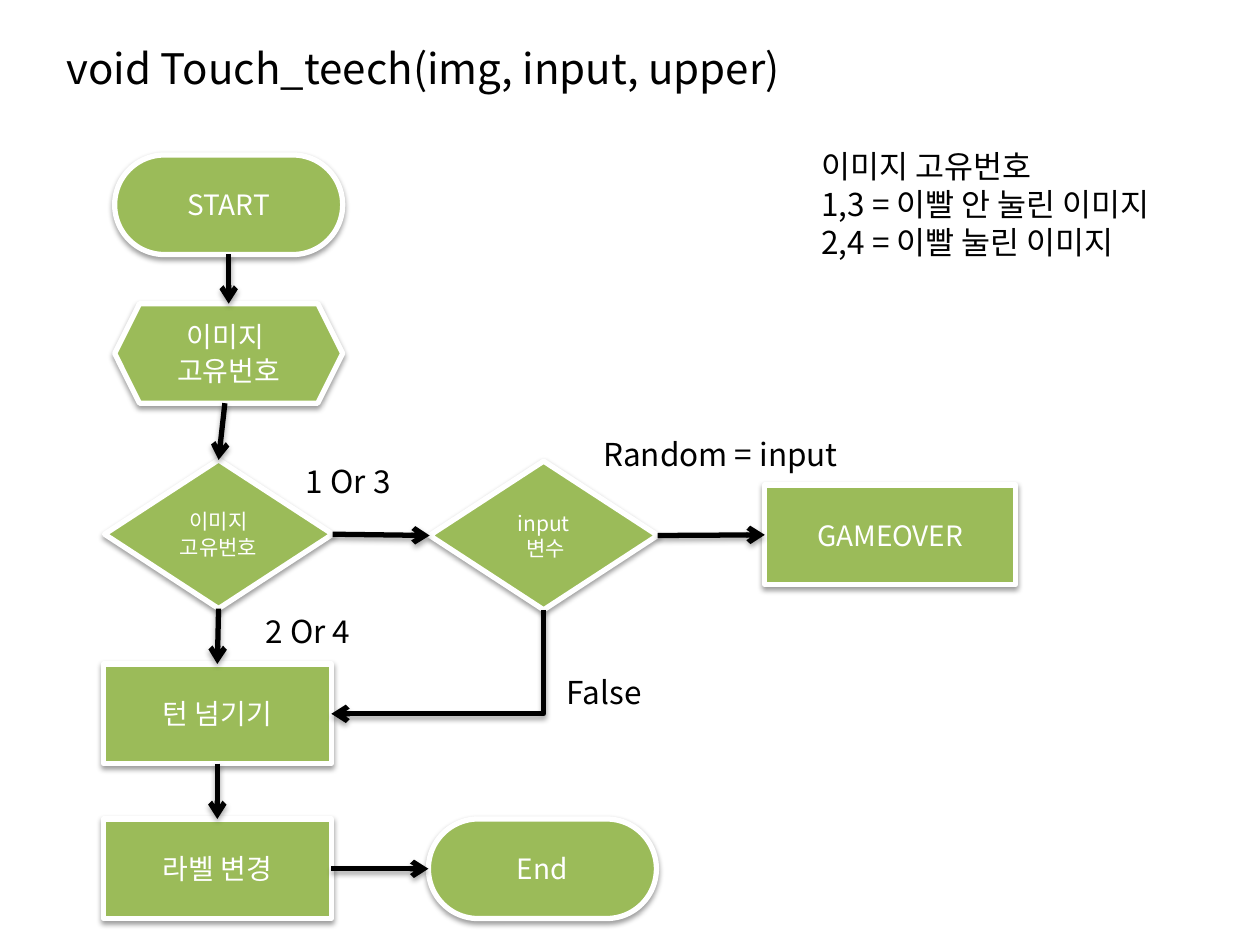
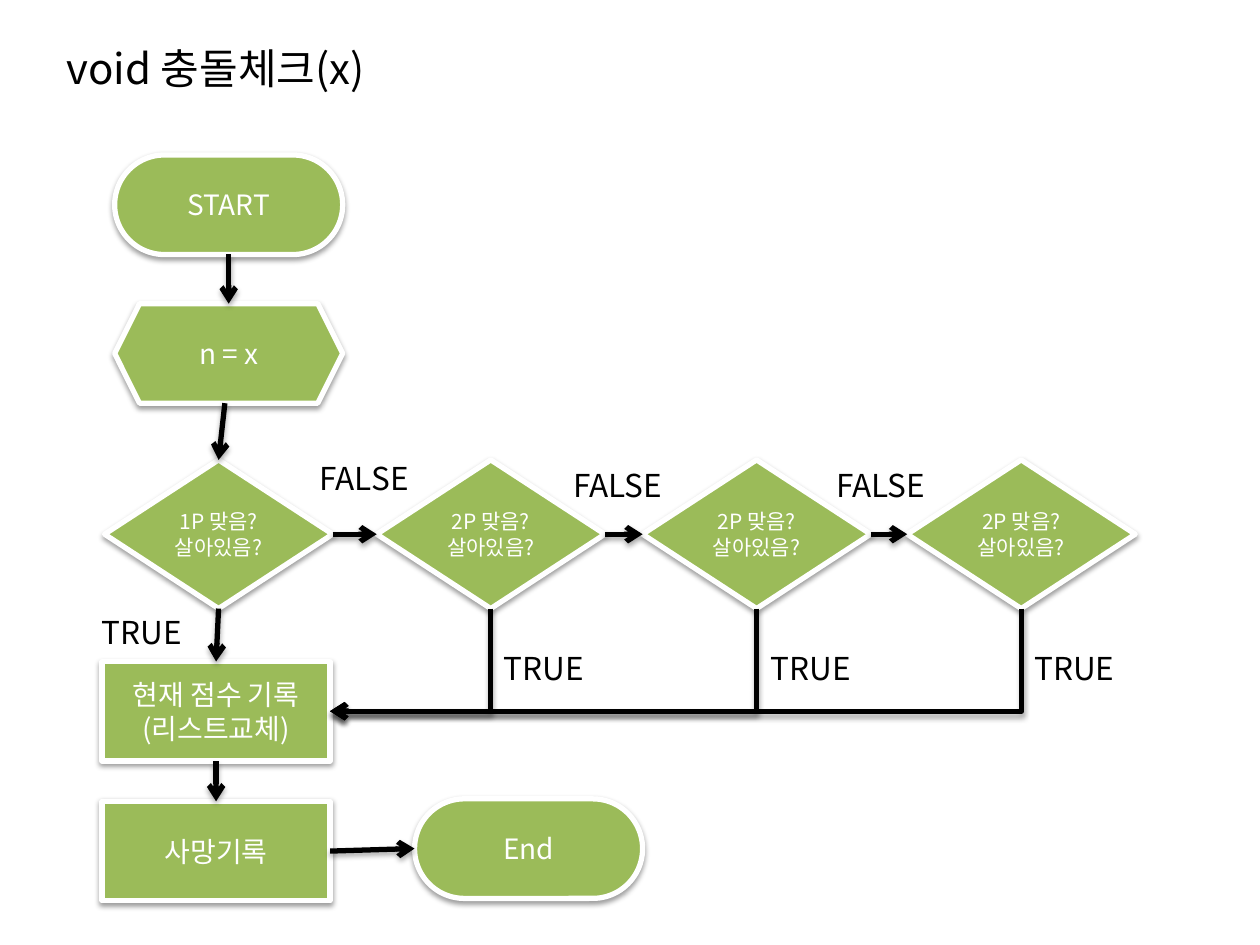
import lxml.etree
import pptx
import pptx.dml.color
import pptx.enum.shapes
import pptx.enum.text
import pptx.oxml.ns
import pptx.util

PX = 9144
COLORS = {"node": "9BBB59", "outline": "FFFFFF", "node_text": "FFFFFF", "ink": "000000"}
FONT = "Noto Sans CJK KR"
SHAPES = pptx.enum.shapes.MSO_SHAPE
CONNECTORS = pptx.enum.shapes.MSO_CONNECTOR
ALIGN = pptx.enum.text.PP_ALIGN
ANCHOR = pptx.enum.text.MSO_ANCHOR
AUTO_SIZE = pptx.enum.text.MSO_AUTO_SIZE

FRAMES = {
    "title": {"word_wrap": True, "vertical_anchor": ANCHOR.TOP, "auto_size": AUTO_SIZE.NONE},
    "label": {"word_wrap": True, "auto_size": AUTO_SIZE.SHAPE_TO_FIT_TEXT},
    "node": {"word_wrap": True, "vertical_anchor": ANCHOR.MIDDLE},
}
NODE_WIDTH, NODE_HEIGHT, DIAMOND_HEIGHT = 181, 79, 118
NODE_SHADOW, LINE_SHADOW = (20000, 38000), (23000, 35000)


def px(*lengths):
    return [pptx.util.Emu(length * PX) for length in lengths]


def rgb(name):
    return pptx.dml.color.RGBColor.from_string(COLORS[name])


def set_values(target, values):
    for name, value in values.items():
        setattr(target, name, value)


def add_xml(parent, tag, **attributes):
    child = lxml.etree.SubElement(parent, pptx.oxml.ns.qn(tag))
    for name, value in attributes.items():
        child.set(name, str(value))
    return child


def add_shadow(shape, distance, alpha):
    effects = add_xml(shape._element.spPr, "a:effectLst")
    shadow = add_xml(effects, "a:outerShdw", blurRad=40000, dist=distance, dir=5400000, rotWithShape=0)
    color = add_xml(shadow, "a:srgbClr", val=COLORS["ink"])
    add_xml(color, "a:alpha", val=alpha)


def write_text(shape, text, role, size, color, align=ALIGN.LEFT):
    frame = shape.text_frame
    set_values(frame, FRAMES[role])
    for index, line in enumerate(text.split("\n")):
        para = frame.paragraphs[0] if index == 0 else frame.add_paragraph()
        para.alignment = align
        span = para.add_run()
        span.text = line
        set_values(span.font, {"name": FONT, "size": pptx.util.Pt(size)})
        span.font.color.rgb = rgb(color)
        add_xml(span.font._element, "a:ea", typeface=FONT)


def add_page(deck, title):
    page = deck.slides.add_slide(deck.slide_layouts[5])
    left, top, width, height = px(43, 29, 819, 50)
    box = page.shapes.title
    set_values(box, {"left": left, "top": top, "width": width, "height": height})
    write_text(box, title, "title", 24, "ink")
    return page


def add_label(page, text, left, top, width=110, height=40):
    box = page.shapes.add_textbox(*px(left, top, width, height))
    write_text(box, text, "label", 18, "ink")


def add_node(page, kind, text, left, top, width=NODE_WIDTH, height=NODE_HEIGHT, size=16):
    node = page.shapes.add_shape(kind, *px(left, top, width, height))
    if kind == SHAPES.ROUNDED_RECTANGLE:
        node.adjustments[0] = 0.5
    node.fill.solid()
    node.fill.fore_color.rgb = rgb("node")
    node.line.color.rgb = rgb("outline")
    node.line.width = pptx.util.Pt(3)
    add_shadow(node, *NODE_SHADOW)
    write_text(node, text, "node", size, "node_text", ALIGN.CENTER)
    return node


def add_terminal(page, text, left, top):
    return add_node(page, SHAPES.ROUNDED_RECTANGLE, text, left, top)


def add_step(page, text, left, top, width=NODE_WIDTH):
    return add_node(page, SHAPES.RECTANGLE, text, left, top, width)


def add_decision(page, text, left, top=365):
    return add_node(page, SHAPES.DIAMOND, text, left, top, height=DIAMOND_HEIGHT, size=12)


def side_point(node, side):
    across, down = {"top": (0.5, 0), "bottom": (0.5, 1), "left": (0, 0.5), "right": (1, 0.5)}[side]
    return int(node.left + node.width * across), int(node.top + node.height * down)


def style_arrow(arrow):
    arrow.line.color.rgb = rgb("ink")
    arrow.line.width = pptx.util.Pt(3)
    add_xml(arrow.line._get_or_add_ln(), "a:tailEnd", type="arrow")
    add_shadow(arrow, *LINE_SHADOW)


def link_down(page, source, target, shift=0):
    x, y = side_point(source, "bottom")
    arrow = page.shapes.add_connector(CONNECTORS.STRAIGHT, x + shift * PX, y, *side_point(target, "top"))
    style_arrow(arrow)


def link_right(page, source, target):
    arrow = page.shapes.add_connector(
        CONNECTORS.STRAIGHT, *side_point(source, "right"), *side_point(target, "left"))
    style_arrow(arrow)


def link_back(page, source, target):
    start_x, start_y = side_point(source, "bottom")
    end_x, end_y = side_point(target, "right")
    drop, run = end_y - start_y, start_x - end_x
    left = (start_x + end_x - drop) // 2
    top = (start_y + end_y - run) // 2
    arrow = page.shapes.add_connector(CONNECTORS.ELBOW, left, top, left + drop, top + run)
    arrow.rotation = 90
    arrow._element.spPr.find(pptx.oxml.ns.qn("a:prstGeom")).set("prst", "bentConnector2")
    style_arrow(arrow)


def add_opening(page, setup_text, decision_text):
    start = add_terminal(page, "START", 91, 123)
    setup = add_node(page, SHAPES.HEXAGON, setup_text, 91, 241)
    decision = add_decision(page, decision_text, 83)
    link_down(page, start, setup)
    link_down(page, setup, decision, shift=-3)
    return decision


def build_touch_page(deck):
    page = add_page(deck, "void Touch_teech(img, input, upper)")
    image_check = add_opening(page, "이미지 \n고유번호", "이미지\n고유번호")
    input_check = add_decision(page, "input\n 변수", 341, 366)
    game_over = add_step(page, "GAMEOVER", 607, 385, 199)
    next_turn = add_step(page, "턴 넘기기", 82, 527)
    relabel = add_step(page, "라벨 변경", 82, 650)
    end = add_terminal(page, "End", 340, 650)

    for source, target in ((image_check, next_turn), (next_turn, relabel)):
        link_down(page, source, target)
    for source, target in ((image_check, input_check), (input_check, game_over), (relabel, end)):
        link_right(page, source, target)
    link_back(page, input_check, next_turn)

    add_label(page, "2 Or 4", 201, 481)
    add_label(page, "1 Or 3", 233, 362)
    add_label(page, "이미지 고유번호\n1,3 = 이빨 안 눌린 이미지\n2,4 = 이빨 눌린 이미지", 642, 112, 315, 101)
    add_label(page, "Random = input", 469, 340, 314)
    add_label(page, "False", 440, 529, 82)


def build_collision_page(deck):
    page = add_page(deck, "void 충돌체크(x)")
    first_check = add_opening(page, "n = x", "1P 맞음?\n살아있음?")
    later_checks = [add_decision(page, "2P 맞음?\n살아있음?", left) for left in (299, 510, 720)]
    score = add_step(page, "현재 점수 기록\n(리스트교체)", 81, 525)
    death = add_step(page, "사망기록", 81, 636)
    end = add_terminal(page, "End", 329, 634)

    link_down(page, first_check, score)
    link_down(page, score, death)
    link_right(page, death, end)
    for source, target in zip([first_check, *later_checks], later_checks):
        link_right(page, source, target)
    for check in later_checks:
        link_back(page, check, score)

    for left, top in ((244, 359), (445, 365), (654, 365)):
        add_label(page, "FALSE", left, top)
    add_label(page, "TRUE", 71, 482, 91)
    for left in (390, 602, 811):
        add_label(page, "TRUE", left, 510)


def main():
    deck = pptx.Presentation()
    deck.slide_width, deck.slide_height = px(1000, 750)
    build_touch_page(deck)
    build_collision_page(deck)
    deck.save("out.pptx")


if __name__ == "__main__":
    main()
